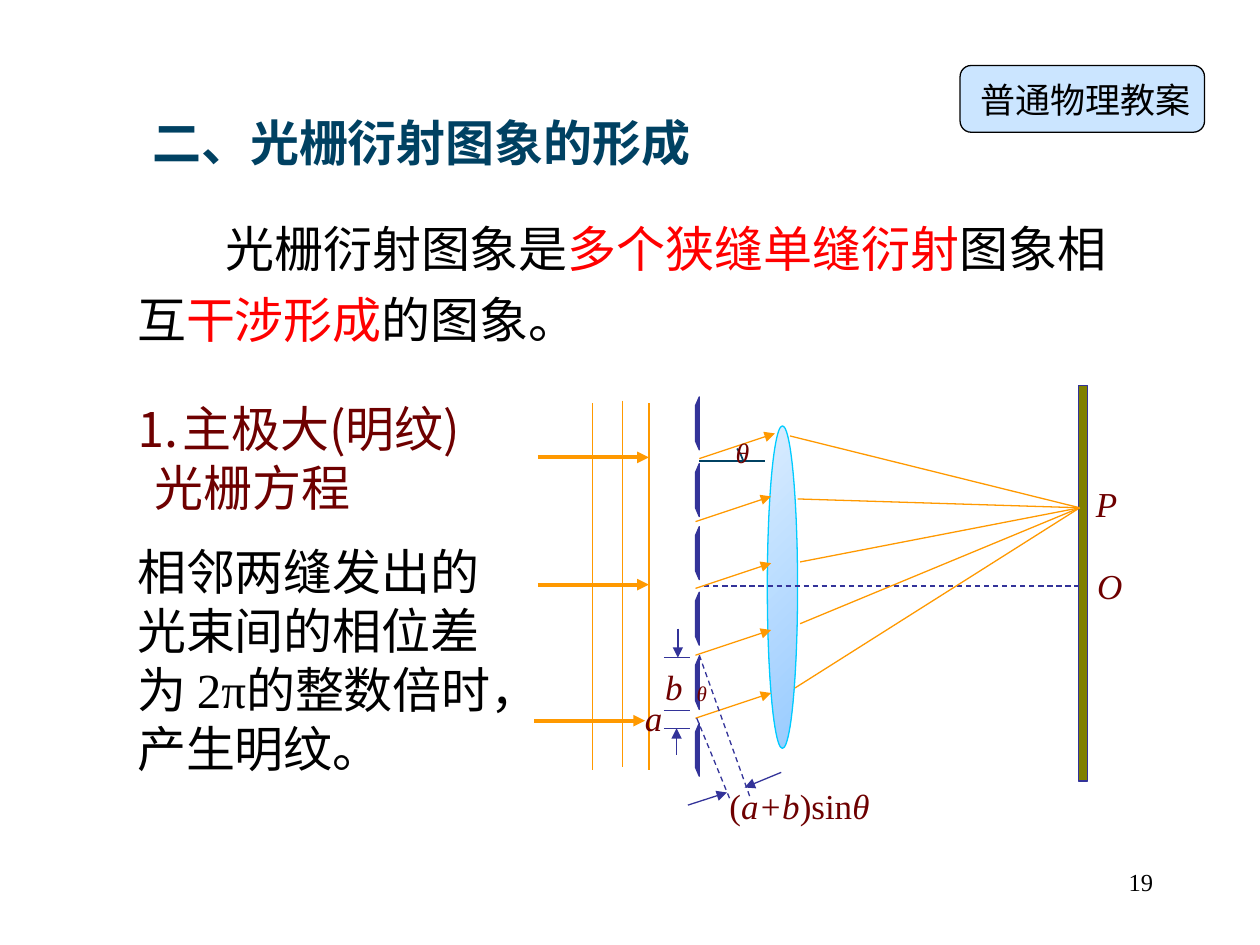
from pptx import Presentation
from pptx.dml.color import RGBColor
from pptx.enum.dml import MSO_LINE_DASH_STYLE as Dash
from pptx.enum.shapes import MSO_CONNECTOR as Connector, MSO_SHAPE as Shape
from pptx.enum.text import PP_ALIGN as Align
from pptx.oxml.ns import qn
from pptx.util import Inches, Pt
from lxml.etree import SubElement

SERIF, HAN = "Times New Roman", "Noto Sans CJK SC"
BLACK, RED, MAROON, TEAL = "000000", "FF0000", "6E0000", "004162"
ORANGE, NAVY = "FF9900", "333399"


def color(value):
    return RGBColor.from_string(value)


def add_text(page, left, top, width, height, lines, size=28, fill=BLACK, font=SERIF,
             bold=False, italic=False, align=Align.LEFT, pitch=None, indents=(0,),
             margin=True, wrap=True):
    """Each line is a list of (text, overrides) spans; a plain string is one span."""
    box = page.shapes.add_textbox(Inches(left), Inches(top), Inches(width), Inches(height))
    frame = box.text_frame
    frame.word_wrap = wrap
    if not margin:
        frame.margin_left = frame.margin_right = frame.margin_top = frame.margin_bottom = 0
    lines = [lines] if isinstance(lines, str) else lines
    for index, line in enumerate(lines):
        para = frame.paragraphs[0] if index == 0 else frame.add_paragraph()
        para.alignment = align
        if pitch:
            para.line_spacing = Pt(pitch)
        if indents[index % len(indents)]:
            para._p.get_or_add_pPr().set("indent", str(Inches(indents[index])))
        for text, changes in [(line, {})] if isinstance(line, str) else line:
            span = para.add_run()
            span.text = text
            span.font.name = font
            span.font.size = Pt(size)
            span.font.bold = bold
            span.font.italic = changes.get("italic", italic)
            span.font.color.rgb = color(changes.get("fill", fill))
            SubElement(span._r.get_or_add_rPr(), qn("a:ea")).set("typeface", HAN)


def add_shape(page, kind, left, top, width, height, fill=None, line=BLACK):
    shape = page.shapes.add_shape(kind, Inches(left), Inches(top), Inches(width), Inches(height))
    shape.shadow.inherit = False
    if fill:
        shape.fill.solid()
        shape.fill.fore_color.rgb = color(fill)
    shape.line.color.rgb = color(line)
    shape.line.width = Pt(0.75)
    return shape


def add_line(page, x1, y1, x2, y2, stroke, width=0.75, dash=False, arrow=False):
    line = page.shapes.add_connector(Connector.STRAIGHT, Inches(x1), Inches(y1),
                                     Inches(x2), Inches(y2))
    line.line.color.rgb = color(stroke)
    line.line.width = Pt(width)
    if dash:
        line.line.dash_style = Dash.DASH
    if arrow:
        SubElement(line.line._get_or_add_ln(), qn("a:tailEnd")).set("type", "triangle")
    SubElement(line._element.spPr, qn("a:effectLst"))


def add_outline(page, points, stroke, width=0.75, fill=None):
    points = [(Inches(x), Inches(y)) for x, y in points]
    builder = page.shapes.build_freeform(*points[0])
    builder.add_line_segments(points[1:], close=fill is not None)
    shape = builder.convert_to_shape()
    shape.shadow.inherit = False
    if fill:
        shape.fill.solid()
        shape.fill.fore_color.rgb = color(fill)
    else:
        shape.fill.background()
    shape.line.color.rgb = color(stroke)
    shape.line.width = Pt(width)


def draw_optics(page):
    # Lens, axis and screen
    lens = add_shape(page, Shape.OVAL, 6.09, 3.38, 0.24, 2.56, line="00CCFF")
    lens.fill.gradient()
    lens.fill.gradient_angle = 315
    for stop, position, value in zip(lens.fill.gradient_stops, (0, 1), ("D9ECFF", "99CCFF")):
        stop.position = position
        stop.color.rgb = color(value)
    add_line(page, 5.59, 4.65, 8.59, 4.65, NAVY, dash=True)
    add_shape(page, Shape.RECTANGLE, 8.56, 3.06, 0.07, 3.14, "808000", NAVY)

    # Grating bars
    for top in (3.15, 3.68, 4.18, 4.7, 5.21, 5.74):
        bar = [(5.55, top), (5.52, top + 0.07), (5.52, top + 0.35), (5.55, top + 0.42)]
        add_outline(page, bar, NAVY, fill=NAVY)

    # Incoming plane wave
    for x, top in ((5.15, 3.2), (4.94, 3.18), (4.7, 3.2)):
        add_line(page, x, top, x, top + 2.91, ORANGE)
    for x, y in ((4.27, 3.63), (4.27, 4.64), (4.24, 5.72)):
        add_line(page, x, y, x + 0.88, y, ORANGE, width=2.25, arrow=True)

    # Diffracted rays, then rays focused on P
    for x, y in ((5.55, 3.64), (5.52, 4.14), (5.52, 4.67), (5.52, 5.2), (5.52, 5.7)):
        add_line(page, x, y, x + 0.6, y - 0.2, ORANGE, arrow=True)
    for x, y in ((6.27, 3.46), (6.33, 3.96), (6.35, 4.46), (6.35, 4.95), (6.31, 5.46)):
        add_line(page, x, y, 8.57, 4.03, ORANGE)


def draw_measures(page):
    # Path difference
    add_line(page, 5.55, 5.2, 5.95, 6.32, NAVY, dash=True)
    add_line(page, 5.53, 5.7, 5.8, 6.36, NAVY, dash=True)

    # Slit and bar widths
    for y in (5.22, 5.64, 5.78):
        add_line(page, 5.27, y, 5.48, y, NAVY)
    for ends in ((5.46, 6.39, 5.77, 6.29), (6.2, 6.13, 5.91, 6.25),
                 (5.38, 4.99, 5.38, 5.22), (5.37, 5.99, 5.37, 5.78)):
        add_line(page, *ends, NAVY, arrow=True)

    # Diffraction angle
    add_line(page, 5.55, 3.66, 6.07, 3.66, TEAL, width=1)
    add_outline(page, [(5.85, 3.56), (5.88, 3.61), (5.9, 3.66)], TEAL, width=1)

    # Labels
    for text, left, top, width, size in (("P", 8.6, 3.78, 0.57, 20), ("O", 8.61, 4.43, 0.57, 20),
                                         ("a", 5.02, 5.48, 0.35, 20), ("b", 5.18, 5.23, 0.35, 20),
                                         ("θ", 5.74, 3.41, 0.62, 16), ("θ", 5.43, 5.35, 0.28, 12)):
        add_text(page, left, top, width, size / 50, text, size=size, fill=MAROON,
                 italic=True, wrap=size > 12)
    upright = {"italic": False}
    add_text(page, 5.69, 6.18, 1.45, 0.44,
             [[("(", upright), ("a+b", {}), (")sin", upright), ("θ", {})]],
             size=20, fill=MAROON, italic=True)


def write_text(page):
    add_text(page, 7.17, 6.83, 2.08, 0.5, "19", size=14, align=Align.RIGHT)
    add_text(page, 1.11, 0.84, 5.45, 0.57, "二、光栅衍射图象的形成", fill=TEAL, bold=True, pitch=33.7)
    red = {"fill": RED}
    add_text(page, 0.99, 1.59, 7.91, 1.22,
             [[("光栅衍射图象是", {}), ("多个狭缝单缝衍射", red), ("图象相互", {}),
               ("干涉形成", red), ("的图象。", {})]], pitch=40.4, indents=(0.7,))
    add_text(page, 0.96, 3.11, 4.08, 1.04, ["⒈主极大(明纹)", "光栅方程"], fill=MAROON,
             font=HAN, pitch=33.7, indents=(0, 0.17))
    add_text(page, 0.99, 4.25, 3.07, 1.97,
             "相邻两缝发出的 光束间的相位差 为 2π的整数倍时，产生明纹。", pitch=33.7)


def draw_badge(page):
    badge = add_shape(page, Shape.ROUNDED_RECTANGLE, 7.62, 0.52, 1.94, 0.53, "99CCFF")
    tint = badge._element.spPr.find(qn("a:solidFill"))[0]
    SubElement(tint, qn("a:alpha")).set("val", "50000")
    add_text(page, 7.78, 0.62, 1.94, 0.39, "普通物理教案", size=20, pitch=24, margin=False)


def main():
    deck = Presentation()
    deck.slide_width, deck.slide_height = Inches(10), Inches(7.5)
    page = deck.slides.add_slide(deck.slide_layouts[6])
    write_text(page)
    draw_optics(page)
    draw_measures(page)
    draw_badge(page)
    deck.save("out.pptx")


if __name__ == "__main__":
    main()
